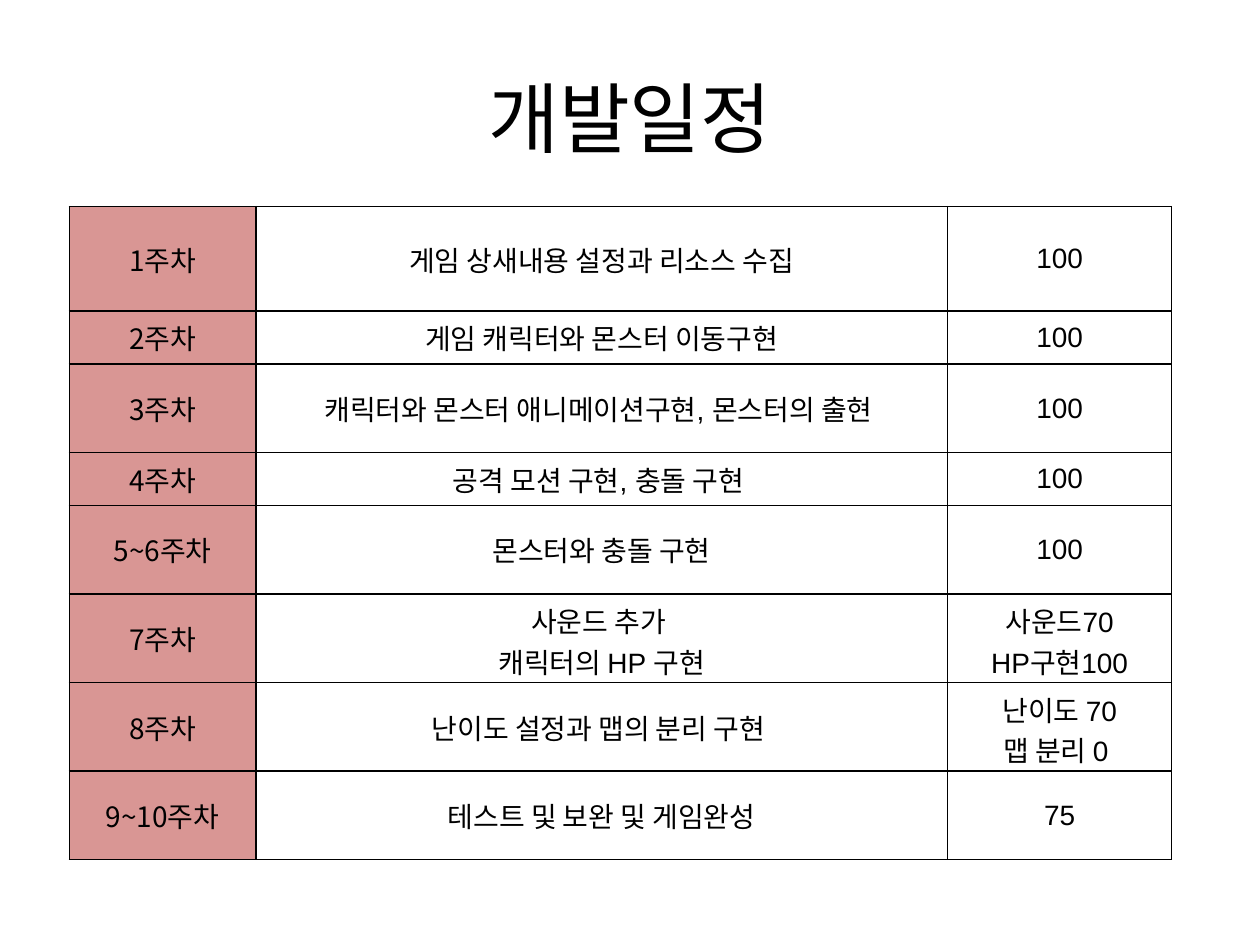
from dataclasses import dataclass

from lxml import etree
from pptx import Presentation
from pptx.dml.color import RGBColor
from pptx.enum.text import MSO_ANCHOR, PP_ALIGN
from pptx.oxml.ns import qn
from pptx.util import Inches, Pt

CENTER = PP_ALIGN.CENTER
MIDDLE = MSO_ANCHOR.MIDDLE
UNIT = 0.1  # one grid step in inches: 100 columns by 75 rows


@dataclass(frozen=True)
class Theme:
    """Colours, fonts and type sizes."""
    ink: str = "000000"
    week_fill: str = "D99694"
    korean: str = "Noto Sans CJK KR"
    latin: str = "Arial"
    title_size: int = 44
    body_size: int = 16
    border: int = 1


def grid(steps):
    """Turn grid steps into a length."""
    return Inches(round(steps * UNIT, 3))


class Deck:
    """Holds the theme and the current slide."""

    def __init__(self, theme, columns=100, rows=75):
        """Open a presentation with one blank slide."""
        self.theme = theme
        self.show = Presentation()
        self.show.slide_width = grid(columns)
        self.show.slide_height = grid(rows)
        self.slide = self.show.slides.add_slide(self.show.slide_layouts[6])

    def set_text(self, frame, text, size, font):
        """Fill a text frame with centred lines."""
        frame.text = text
        style = {"size": Pt(size), "name": font}
        for line in frame.paragraphs:
            line.alignment = CENTER
            for run in line.runs:
                run.font.color.rgb = RGBColor.from_string(self.theme.ink)
                for key, value in style.items():
                    setattr(run.font, key, value)
                east_asian = etree.SubElement(run.font._element, qn("a:ea"))
                east_asian.set("typeface", self.theme.korean)

    def title(self, text, left, top, width, height):
        """Add the slide's heading."""
        heading = self.slide.shapes.add_textbox(*map(grid, (left, top, width, height)))
        frame = heading.text_frame
        for key, value in {"word_wrap": True, "vertical_anchor": MIDDLE}.items():
            setattr(frame, key, value)
        self.set_text(frame, text, self.theme.title_size, self.theme.korean)

    def outline(self, cell):
        """Draw a thin line on all four sides of a cell."""
        properties = cell._tc.get_or_add_tcPr()
        for index, side in enumerate(("a:lnL", "a:lnR", "a:lnT", "a:lnB")):
            line = etree.Element(qn(side), w=str(Pt(self.theme.border)))
            fill = etree.SubElement(line, qn("a:solidFill"))
            etree.SubElement(fill, qn("a:srgbClr"), val=self.theme.ink)
            properties.insert(index, line)

    def table(self, records, left, top, widths, heights):
        """Add a bordered table with a coloured first column."""
        frame = self.slide.shapes.add_table(
            len(records), len(widths), grid(left), grid(top),
            grid(sum(widths)), grid(sum(heights)))
        schedule = frame.table
        for flag in ("first_row", "horz_banding"):
            setattr(schedule, flag, False)
        for column, width in zip(schedule.columns, widths):
            column.width = grid(width)
        for row, height, record in zip(schedule.rows, heights, records):
            row.height = grid(height)
            for index, (cell, text) in enumerate(zip(row.cells, record)):
                cell.vertical_anchor = MIDDLE
                if index == 0:
                    cell.fill.solid()
                    cell.fill.fore_color.rgb = RGBColor.from_string(self.theme.week_fill)
                else:
                    cell.fill.background()
                font = self.theme.latin if index else self.theme.korean
                self.set_text(cell.text_frame, text, self.theme.body_size, font)
                self.outline(cell)


SCHEDULE = [
    ("1주차", "게임 상새내용 설정과 리소스 수집", "100"),
    ("2주차", "게임 캐릭터와 몬스터 이동구현", "100"),
    ("3주차", "캐릭터와 몬스터 애니메이션구현, 몬스터의 출현 ", "100"),
    ("4주차", "공격 모션 구현, 충돌 구현 ", "100"),
    ("5~6주차", "몬스터와 충돌 구현", "100"),
    ("7주차", "사운드 추가 \n캐릭터의 HP 구현", "사운드70\nHP구현100"),
    ("8주차", "난이도 설정과 맵의 분리 구현 ", "난이도 70\n맵 분리 0 "),
    ("9~10주차", "테스트 및 보완 및 게임완성", "75"),
]
SHORT, TALL = 4.2, 7.03

deck = Deck(Theme())
deck.title("개발일정", 5, 3, 90, 12.5)
deck.table(SCHEDULE, 5.5, 16.4, widths=(14.8, 54.9, 17.8),
           heights=(8.3, SHORT, TALL, SHORT, TALL, TALL, TALL, TALL))
deck.show.save("out.pptx")
